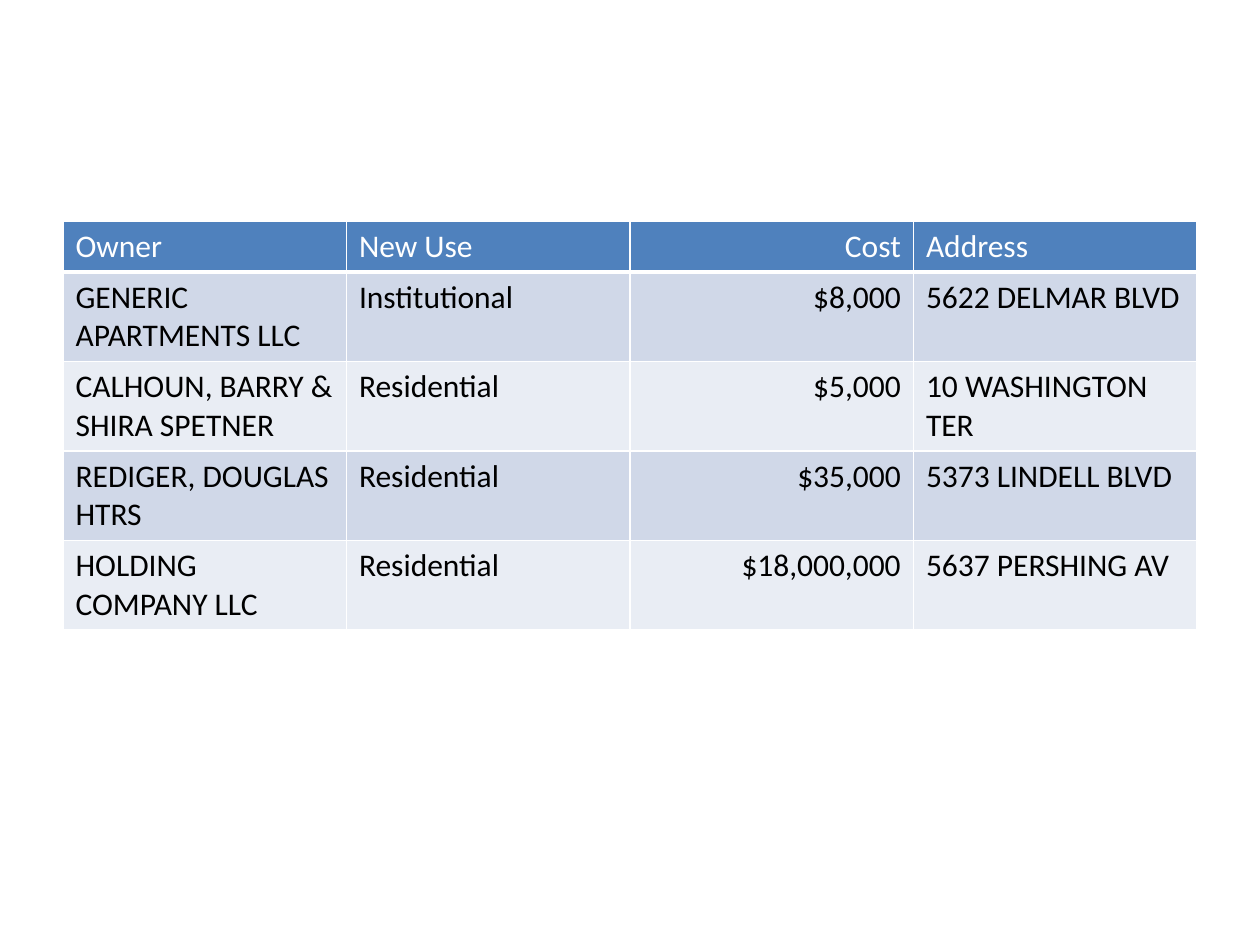
from lxml import etree
from pptx import Presentation
from pptx import util as u
from pptx.dml.color import RGBColor
from pptx.enum import text
from pptx.oxml.ns import qn

PX = 7257.6  # EMU per px at 126 px to the inch

HEADER = ("Owner", "New Use", "Cost", "Address")
PERMITS = [
    ("GENERIC APARTMENTS LLC", "Institutional", "$8,000", "5622 DELMAR BLVD"),
    ("CALHOUN, BARRY & SHIRA SPETNER", "Residential", "$5,000", "10 WASHINGTON TER"),
    ("REDIGER, DOUGLAS HTRS", "Residential", "$35,000", "5373 LINDELL BLVD"),
    ("HOLDING COMPANY LLC", "Residential", "$18,000,000", "5637 PERSHING AV"),
]
COST_COLUMN = HEADER.index("Cost")
LEFT, TOP, WIDTH = 63, 221, 1134
HEADER_HEIGHT, ROW_HEIGHT = 50, 89
HEADER_FILL, BANDS = "4F81BD", ("D0D8E8", "E9EDF4")
WHITE, BLACK = "FFFFFF", "000000"


def px(n):
    return u.Emu(round(n * PX))


def rgb(value):
    return RGBColor.from_string(value)


def set_borders(cell, bottom):
    """Draw white 1 pt borders, with the bottom one of its own width in points."""
    tcPr = cell._tc.get_or_add_tcPr()
    for side, width in (("L", 1), ("R", 1), ("T", 1), ("B", bottom)):
        ln = etree.SubElement(tcPr, qn(f"a:ln{side}"), w=str(u.Pt(width)))
        fill = etree.SubElement(ln, qn("a:solidFill"))
        etree.SubElement(fill, qn("a:srgbClr"), val=WHITE)


def fill_cell(cell, words, fill, color, align, bottom):
    set_borders(cell, bottom)
    cell.fill.solid()
    cell.fill.fore_color.rgb = rgb(fill)
    p = cell.text_frame.paragraphs[0]
    p.alignment = align
    r = p.add_run()
    r.text = words
    r.font.name, r.font.size, r.font.bold = "Calibri", u.Pt(18), False
    r.font.color.rgb = rgb(color)


def add_permit_table(s):
    rows = [HEADER, *PERMITS]
    heights = [HEADER_HEIGHT] + [ROW_HEIGHT] * len(PERMITS)
    table = s.shapes.add_table(len(rows), len(HEADER), px(LEFT), px(TOP),
                               px(WIDTH), px(sum(heights))).table
    for i, (row, height) in enumerate(zip(rows, heights)):
        table.rows[i].height = px(height)
        fill, color, bottom = ((HEADER_FILL, WHITE, 3) if i == 0
                               else (BANDS[(i - 1) % 2], BLACK, 1))
        for j, words in enumerate(row):
            align = text.PP_ALIGN.RIGHT if j == COST_COLUMN else text.PP_ALIGN.LEFT
            fill_cell(table.cell(i, j), words, fill, color, align, bottom)


def main():
    prs = Presentation()
    prs.slide_width, prs.slide_height = px(1260), px(945)
    s = prs.slides.add_slide(prs.slide_layouts[6])
    add_permit_table(s)
    prs.save("out.pptx")


if __name__ == "__main__":
    main()
